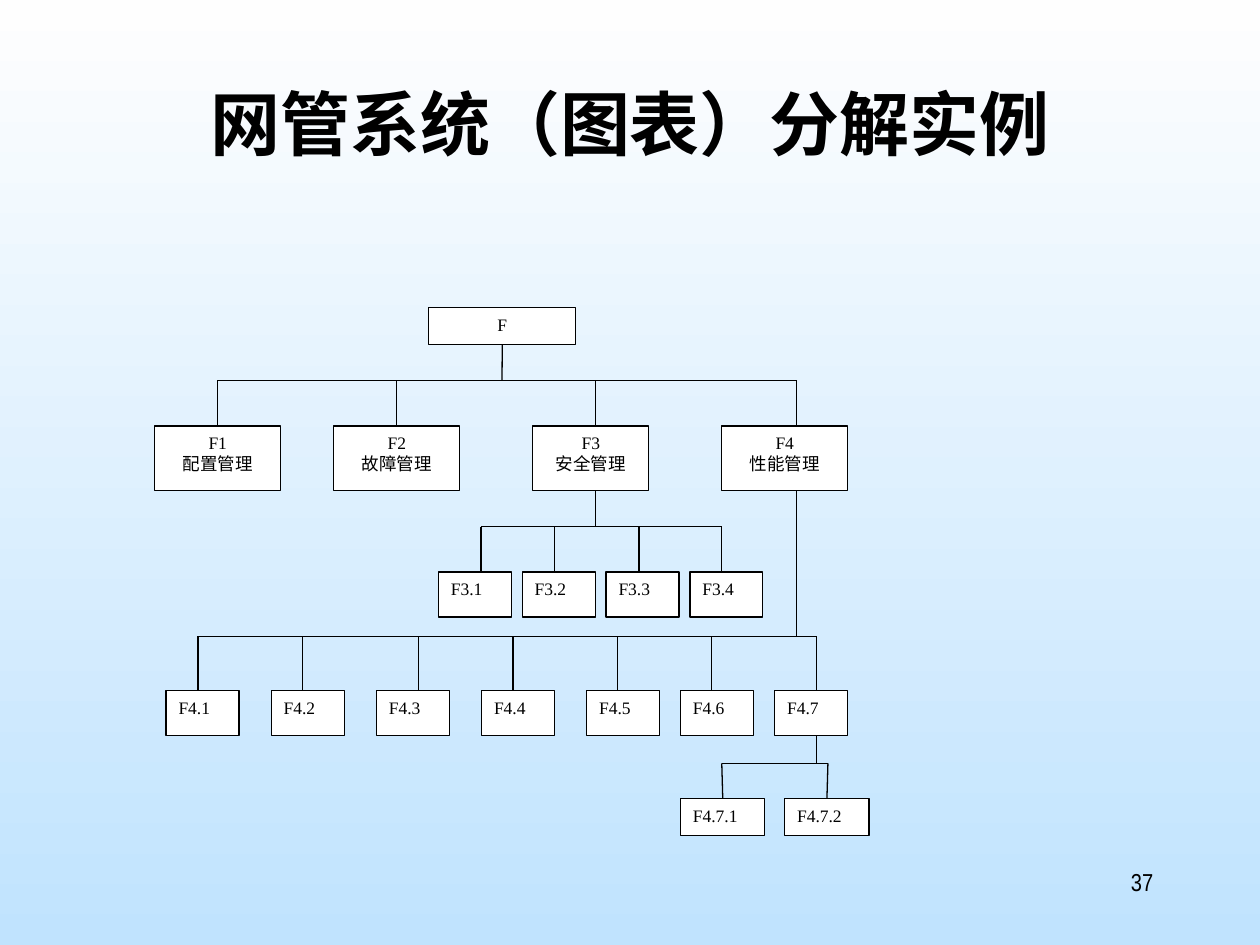
from pptx import Presentation
from pptx.dml.color import RGBColor
from pptx.enum.shapes import MSO_CONNECTOR, MSO_SHAPE
from pptx.enum.text import MSO_ANCHOR, PP_ALIGN
from pptx.oxml.ns import qn
from pptx.util import Cm, Pt
from lxml.etree import SubElement

COLORS = {"ink": "000000", "box": "FFFFFF", "sky_top": "FEFEFE", "sky_bottom": "C0E3FE"}
CJK = "Noto Sans CJK SC"
SERIF = "Times New Roman"
TOP, BOTTOM = 0, 2  # connection sites of a rectangle
JOIN_TOLERANCE = Cm(0.05)


def rgb(name):
    return RGBColor.from_string(COLORS[name])


def write(shape, lines, font, size, align, bold=False, spacing=None):
    tf = shape.text_frame
    tf.word_wrap = True
    tf.vertical_anchor = MSO_ANCHOR.TOP
    for i, line in enumerate(lines):
        p = tf.paragraphs[0] if i == 0 else tf.add_paragraph()
        p.alignment = align
        if spacing:
            p.line_spacing = spacing
        r = p.add_run()
        r.text = line
        r.font.name, r.font.size, r.font.bold = font, Pt(size), bold
        r.font.color.rgb = rgb("ink")
        SubElement(r.font._element, qn("a:ea")).set("typeface", CJK)


def paint_background(s):
    fill = s.background.fill
    fill.gradient()
    fill.gradient_angle = 270
    for stop, name in zip(fill.gradient_stops, ("sky_top", "sky_bottom")):
        stop.color.rgb = rgb(name)


def add_text(s, box, text, **style):
    write(s.shapes.add_textbox(*map(Cm, box)), [text], **style)


def add_node(s, x, y, w, h, lines, align):
    node = s.shapes.add_shape(MSO_SHAPE.RECTANGLE, *map(Cm, (x, y, w, h)))
    node.shadow.inherit = False
    node.fill.solid()
    node.fill.fore_color.rgb = rgb("box")
    node.line.color.rgb = rgb("ink")
    node.line.width = Pt(0.75)
    write(node, lines, SERIF, 10, align)
    return node


def add_line(s, x1, y1, x2, y2):
    line = s.shapes.add_connector(MSO_CONNECTOR.STRAIGHT, *map(Cm, (x1, y1, x2, y2)))
    line.line.color.rgb = rgb("ink")
    line.line.width = Pt(0.75)
    SubElement(line._element.spPr, qn("a:effectLst"))
    return line


def is_centred(node, x):
    return abs(node.left + node.width / 2 - Cm(x)) < JOIN_TOLERANCE


def add_branch(s, left, top, parent, stem, bar, row, height, children, align):
    """Hang a row of (lines, x, width, drop x) children below a parent node."""
    bar_y, row_y = top + bar, top + row
    stem_x = left + stem
    parent_bottom = (parent.top + parent.height) / Cm(1)
    line = add_line(s, stem_x, parent_bottom, stem_x, bar_y)
    if is_centred(parent, stem_x):
        line.begin_connect(parent, BOTTOM)
    add_line(s, left + children[0][3], bar_y, left + children[-1][3], bar_y)

    nodes = []
    for lines, x, width, drop in children:
        node = add_node(s, left + x, row_y, width, height, lines, align)
        line = add_line(s, left + drop, bar_y, left + drop, row_y)
        if is_centred(node, left + drop):
            line.end_connect(node, TOP)
        nodes.append(node)
    return nodes


def leaves(prefix, width, xs, drops):
    return [([f"{prefix}.{i}"], x, width, drop)
            for i, (x, drop) in enumerate(zip(xs, drops), 1)]


def add_function_tree(s, left, top):
    centre, justify = PP_ALIGN.CENTER, PP_ALIGN.JUSTIFY
    root = add_node(s, left + 5.52, top, 2.97, 0.74, ["F"], centre)
    areas = [
        (["F1", "配置管理"], 0, 2.54, 1.27),
        (["F2", "故障管理"], 3.61, 2.54, 4.88),
        (["F3", "安全管理"], 7.62, 2.34, 8.89),
        (["F4", "性能管理"], 11.43, 2.54, 12.93),
    ]
    _, _, security, performance = add_branch(
        s, left, top, root, 7, 1.47, 2.39, 1.3, areas, centre)

    security_parts = leaves("F3", 1.47, [5.72 + 1.69 * i for i in range(4)],
                            [6.58, 8.06, 9.76, 11.43])
    add_branch(s, left, top, security, 8.89, 4.42, 5.33, 0.91, security_parts, justify)

    performance_parts = leaves(
        "F4", 1.47, [0.23 + 2.12 * i for i in range(5)] + [10.6, 12.5],
        [0.87, 2.98, 5.31, 7.22, 9.33, 11.23, 13.34])
    last = add_branch(s, left, top, performance, 12.93, 6.63, 7.72, 0.91,
                      performance_parts, justify)[-1]

    details = leaves("F4.7", 1.7, [10.6, 12.7], [11.43, 13.57])
    add_branch(s, left, top, last, 13.34, 9.19, 9.9, 0.74, details, justify)


def main():
    prs = Presentation()
    prs.slide_width, prs.slide_height = Cm(25.4), Cm(19.05)
    s = prs.slides.add_slide(prs.slide_layouts[6])
    paint_background(s)
    add_text(s, (1.9, 1.7, 21.6, 3.18), "网管系统（图表）分解实例", font=CJK, size=40,
             align=PP_ALIGN.CENTER, bold=True, spacing=0.9)
    add_function_tree(s, 3.12, 6.2)
    add_text(s, (18.2, 17.35, 5.3, 1.27), "37", font="Arial Narrow", size=14,
             align=PP_ALIGN.RIGHT)
    prs.save("out.pptx")


if __name__ == "__main__":
    main()
